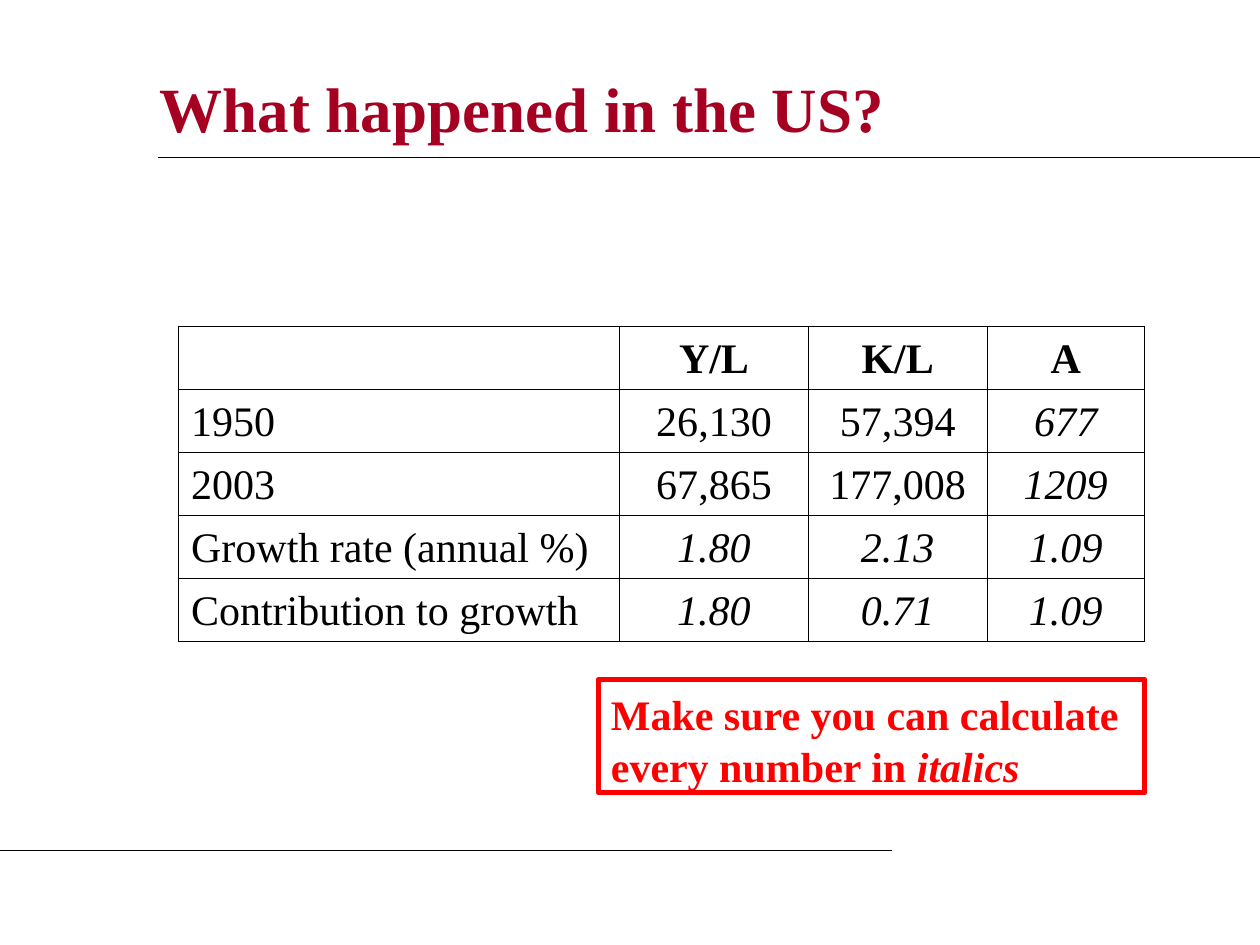
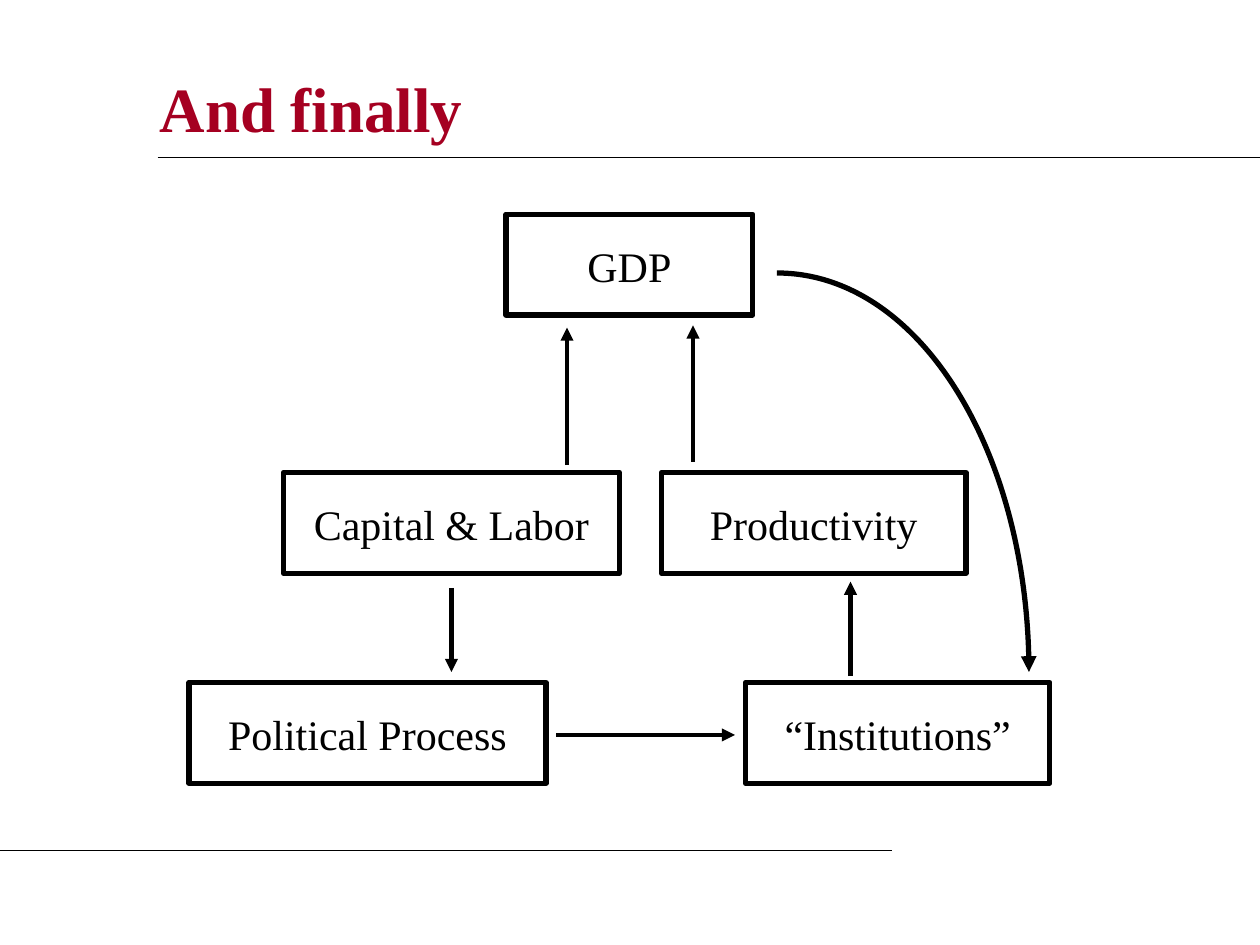
from dataclasses import dataclass

from lxml.etree import SubElement
from pptx import Presentation
from pptx.dml.color import RGBColor
from pptx.enum.shapes import MSO_CONNECTOR as Connector, MSO_SHAPE as Preset
from pptx.enum.text import MSO_ANCHOR as Anchor, PP_ALIGN as Align
from pptx.oxml.ns import qn
from pptx.util import Inches, Pt

TITLE_ONLY = 5


@dataclass(frozen=True)
class Theme:
    font: str = "Times New Roman"
    title: RGBColor = RGBColor(0xA5, 0x00, 0x21)
    ink: RGBColor = RGBColor(0x00, 0x00, 0x00)
    alert: RGBColor = RGBColor(0xFF, 0x00, 0x00)
    paper: RGBColor = RGBColor(0xFF, 0xFF, 0xFF)
    title_size: int = 36
    body_size: int = 24
    leading: float = 1.05
    rule_width: float = 0.75
    arrow_width: float = 2.5
    outline_width: float = 3
    table_edge: float = 1.08
    table_inner: float = 0.45


THEME = Theme()


def unit(count):
    """Length of a number of grid steps, twelve to the inch."""
    return Inches(count / 12)


def units(*counts):
    return [unit(count) for count in counts]


def write(frame, text, size=THEME.body_size, color=THEME.ink, bold=False,
          italic=False, align=Align.LEFT, anchor=Anchor.MIDDLE):
    """Append text as a span of the frame's only paragraph."""
    frame.vertical_anchor = anchor
    para = frame.paragraphs[0]
    para.alignment = align
    para.line_spacing = THEME.leading
    span = para.add_run()
    span.text = text
    font = span.font
    font.name, font.size, font.bold, font.italic = THEME.font, Pt(size), bold, italic
    font.color.rgb = color


def set_margins(frame, x, y):
    frame.margin_left = frame.margin_right = Inches(x)
    frame.margin_top = frame.margin_bottom = Inches(y)


def add_arrowhead(line_shape):
    outline = line_shape.element.spPr.find(qn("a:ln"))
    SubElement(outline, qn("a:tailEnd"), type="triangle")


def set_border(cell, side, width):
    border = SubElement(cell._tc.get_or_add_tcPr(), qn(f"a:ln{side}"),
                        w=str(Pt(width)))
    fill = SubElement(border, qn("a:solidFill"))
    SubElement(fill, qn("a:srgbClr"), val=str(THEME.ink))


class SlideBuilder:
    """Holds the deck and the page being filled; lengths are grid steps."""

    def __init__(self, deck):
        self.deck = deck
        self.page = None

    def start_page(self, title, top, width, height):
        self.page = self.deck.slides.add_slide(self.deck.slide_layouts[TITLE_ONLY])
        box = self.page.shapes.title
        box.left, box.top, box.width, box.height = units(14, top, width, height)
        write(box.text_frame, title, size=THEME.title_size, color=THEME.title,
              bold=True)
        self.line((15, 15), (120, 15))
        self.line((0, 81), (85, 81))

    def line(self, start, end, width=THEME.rule_width):
        line = self.page.shapes.add_connector(
            Connector.STRAIGHT, *units(*start, *end))
        line.line.color.rgb = THEME.ink
        line.line.width = Pt(width)
        SubElement(line.element.spPr, qn("a:effectLst"))
        return line

    def arrow(self, start, end):
        add_arrowhead(self.line(start, end, THEME.arrow_width))

    def curved_arrow(self, start, *curve):
        """Draw one Bezier arc: two control points, then the end."""
        builder = self.page.shapes.build_freeform(*units(*start))
        builder.add_line_segments([units(*point) for point in curve], close=False)
        arc = builder.convert_to_shape()
        arc.shadow.inherit = False
        arc.fill.background()
        arc.line.color.rgb = THEME.ink
        arc.line.width = Pt(THEME.outline_width)
        add_arrowhead(arc)

        outline = arc.element.find(f".//{qn('a:path')}")
        bezier = SubElement(outline, qn("a:cubicBezTo"))
        for segment in outline.findall(qn("a:lnTo")):
            bezier.append(segment[0])
            outline.remove(segment)

    def box(self, left, top, width, height, color=THEME.ink, filled=False,
            margins=(0.2, 0.2)):
        box = self.page.shapes.add_shape(
            Preset.RECTANGLE, *units(left, top, width, height))
        box.shadow.inherit = False
        if filled:
            box.fill.solid()
            box.fill.fore_color.rgb = THEME.paper
        else:
            box.fill.background()
        box.line.color.rgb = color
        box.line.width = Pt(THEME.outline_width)
        box.text_frame.word_wrap = True
        set_margins(box.text_frame, *margins)
        return box.text_frame

    def node(self, text, left, top, width):
        write(self.box(left, top, width, 9.6), text, align=Align.CENTER)

    def table(self, left, top, column_widths, row_height, rows):
        """Fill a ruled table; a cell text that starts with * is set in italics."""
        last_row, last_column = len(rows) - 1, len(column_widths) - 1
        table = self.page.shapes.add_table(
            len(rows), len(column_widths),
            *units(left, top, sum(column_widths), row_height * len(rows))).table
        table.first_row = table.horz_banding = False
        for column, width in zip(table.columns, column_widths):
            column.width = unit(width)
        for r, row in enumerate(rows):
            table.rows[r].height = unit(row_height)
            for c, text in enumerate(row):
                cell = table.cell(r, c)
                edges = {"L": c == 0, "R": c == last_column,
                         "T": r == 0, "B": r == last_row}
                for side, outer in edges.items():
                    set_border(cell, side,
                               THEME.table_edge if outer else THEME.table_inner)
                cell.fill.background()
                cell.vertical_anchor = Anchor.MIDDLE
                if text:
                    write(cell.text_frame, text.lstrip("*"), bold=r == 0,
                          italic=text.startswith("*"), anchor=None,
                          align=Align.CENTER if c else Align.LEFT)


def add_growth_page(slides):
    slides.start_page("What happened in the US?", top=3, width=102, height=14)
    slides.table(17, 31.1, (42, 18, 17, 15), 6, [
        ("", "Y/L", "K/L", "A"),
        ("1950", "26,130", "57,394", "*677"),
        ("2003", "67,865", "177,008", "*1209"),
        ("Growth rate (annual %)", "*1.80", "*2.13", "*1.09"),
        ("Contribution to growth", "*1.80", "*0.71", "*1.09"),
    ])
    reminder = slides.box(57, 64.7, 52, 10.8, color=THEME.alert, filled=True,
                          margins=(0.1, 0.05))
    for text, italic in (("Make sure you can calculate every number in ", False),
                         ("italics", True)):
        write(reminder, text, color=THEME.alert, bold=True, italic=italic,
              anchor=Anchor.TOP)


def add_cycle_page(slides):
    slides.start_page("And finally", top=5, width=97, height=10)
    for text, left, top, width in (
            ("GDP", 48.2, 20.4, 23.5),
            ("Capital & Labor", 27, 45, 32),
            ("Productivity", 63, 45, 29),
            ("Political Process", 18, 65, 34),
            ("“Institutions”", 71, 65, 29)):
        slides.node(text, left, top, width)
    for start, end in (
            ((54, 44.3), (54, 31.2)),
            ((66, 44), (66, 31)),
            ((43, 56), (43, 64)),
            ((53, 70), (70, 70)),
            ((81, 64.4), (81, 55.4))):
        slides.arrow(start, end)
    slides.curved_arrow((74, 26), (87.25, 26), (98, 43), (98, 64))


def main():
    deck = Presentation()
    deck.slide_width, deck.slide_height = units(120, 90)
    slides = SlideBuilder(deck)
    add_growth_page(slides)
    add_cycle_page(slides)
    deck.save("out.pptx")


if __name__ == "__main__":
    main()
